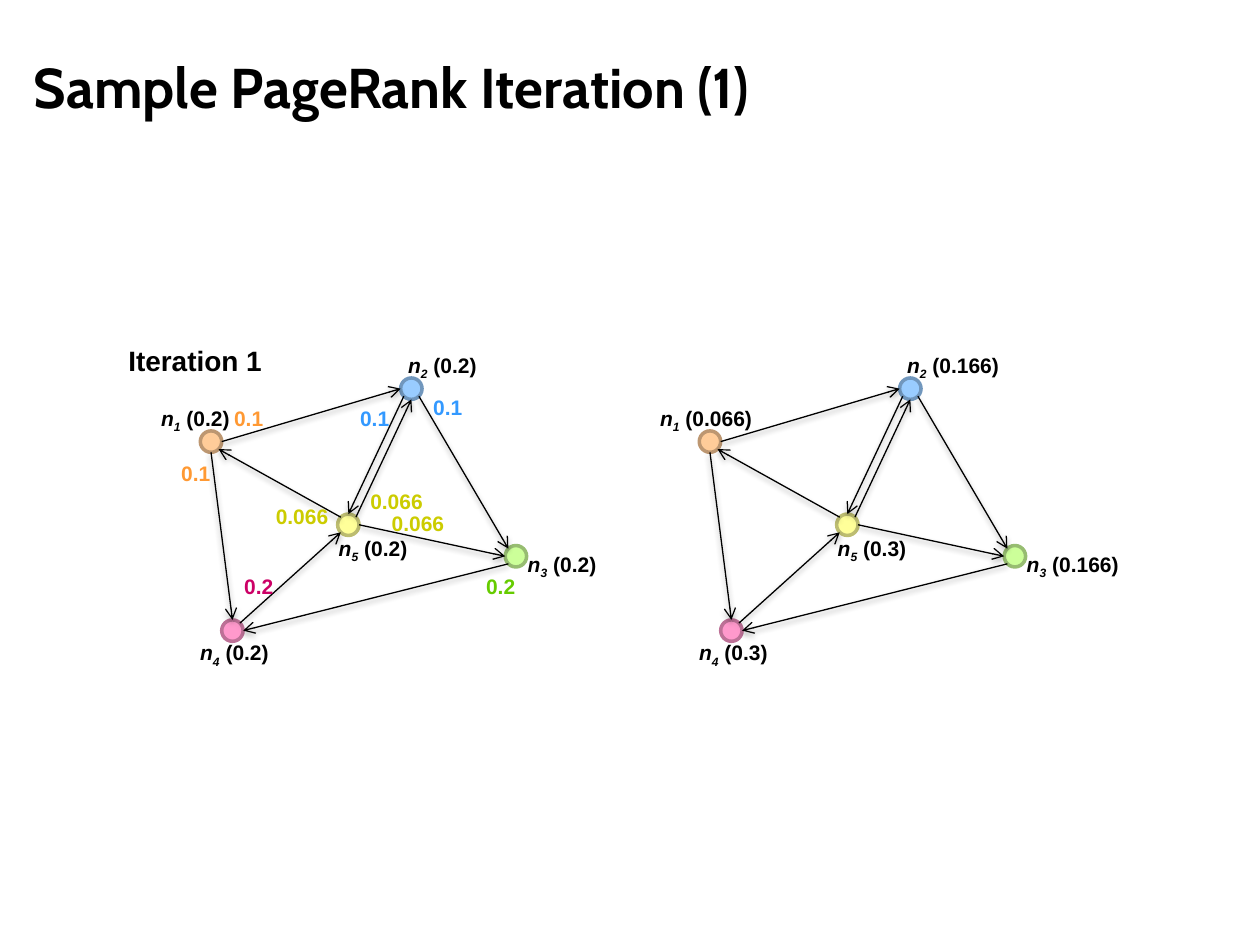
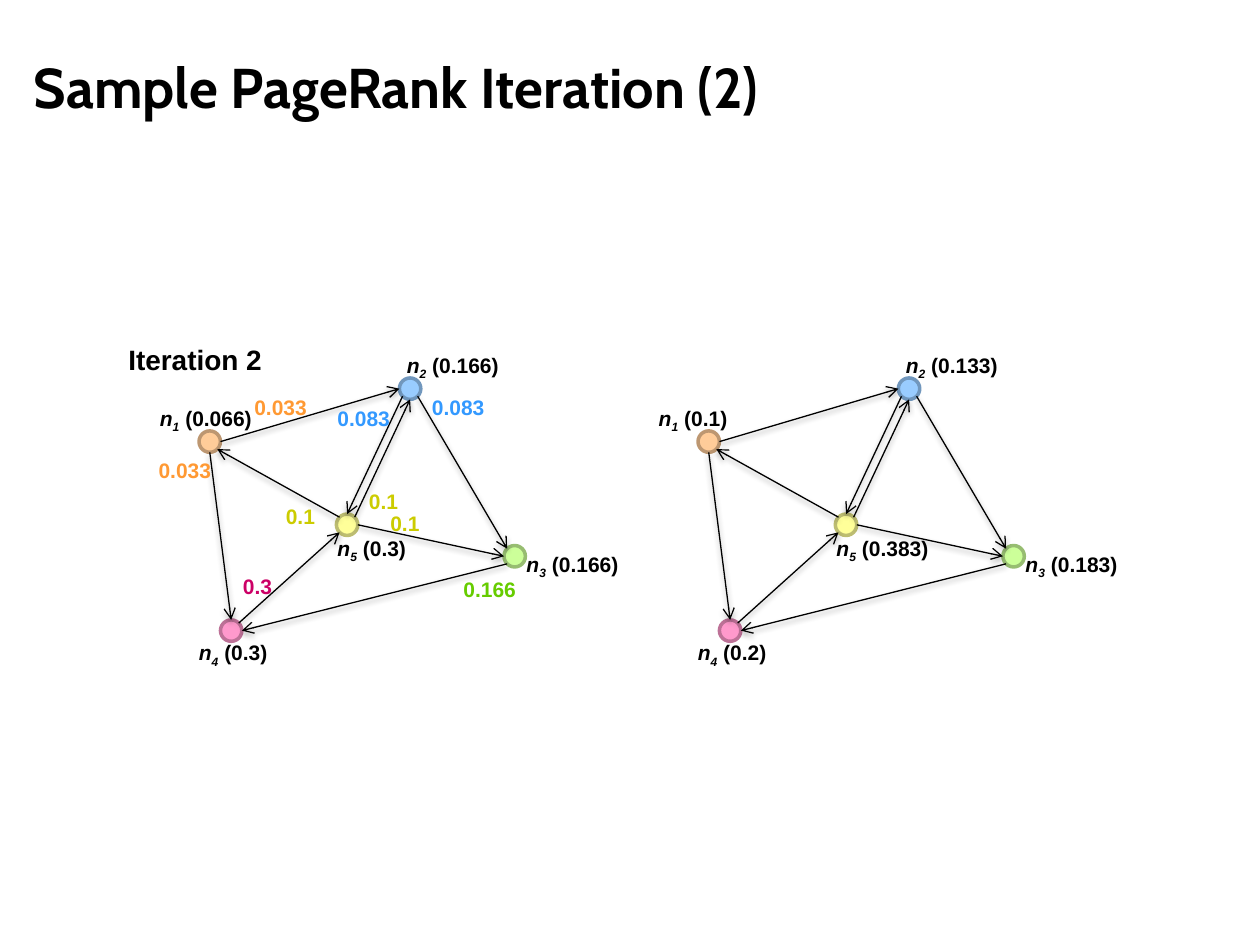
from math import cos, radians, sin

from lxml import etree
from pptx import Presentation
from pptx.dml.color import RGBColor
from pptx.enum.shapes import MSO_CONNECTOR, MSO_SHAPE
from pptx.enum.text import MSO_ANCHOR, MSO_AUTO_SIZE
from pptx.oxml.ns import qn
from pptx.util import Pt

PX = 9144  # 100 px to the inch
SLIDE_SIZE = (1000, 750)
NODE_SIZE = 17
GRAPH_GAP = 396

BLACK = RGBColor(0x00, 0x00, 0x00)
ORANGE = RGBColor(0xFF, 0x99, 0x33)
BLUE = RGBColor(0x33, 0x99, 0xFF)
GREEN = RGBColor(0x66, 0xCC, 0x00)
PINK = RGBColor(0xCC, 0x00, 0x66)
YELLOW = RGBColor(0xCC, 0xCC, 0x00)
PALE_ORANGE = RGBColor(0xFF, 0xCC, 0x99)
PALE_BLUE = RGBColor(0x99, 0xCC, 0xFF)
PALE_GREEN = RGBColor(0xCC, 0xFF, 0x99)
PALE_PINK = RGBColor(0xFF, 0x99, 0xCC)
PALE_YELLOW = RGBColor(0xFF, 0xFF, 0x99)

# node: (left, top), (label left, label top), fill, colour of the mass it sends
NODES = {
    1: ((159, 342), (118, 317), PALE_ORANGE, ORANGE),
    2: ((318, 300), (314, 275), PALE_BLUE, BLUE),
    3: ((401, 433), (409, 433), PALE_GREEN, GREEN),
    4: ((176, 492), (149, 503), PALE_PINK, PINK),
    5: ((268, 408), (259, 420), PALE_YELLOW, YELLOW),
}

# Compass directions in degrees, clockwise from east
E, SE, S, SW, W, NW, N, NE = range(0, 360, 45)
# (from node, side, to node, side)
EDGES = [
    (1, E, 2, W),
    (5, NW, 1, SE),
    (1, S, 4, N),
    (4, NE, 5, SW),
    (5, NE, 2, S),
    (2, SE, 3, NW),
    (5, E, 3, W),
    (3, SW, 4, E),
    (2, SW, 5, N),
]

# ranks are for nodes 1 to 5; a flow is (sending node, value, left, top)
ITERATIONS = [
    {
        "number": 1, "shift": 0, "heading_top": 268,
        "before": ["0.2", "0.2", "0.2", "0.2", "0.2"],
        "after": ["0.066", "0.166", "0.166", "0.3", "0.3"],
        "flows": [
            (1, "0.1", 176, 317), (1, "0.1", 134, 361),
            (4, "0.2", 184, 450), (3, "0.2", 376, 450),
            (2, "0.1", 276, 317), (2, "0.1", 334, 308),
            (5, "0.066", 209, 395), (5, "0.066", 301, 400),
            (5, "0.066", 284, 383),
        ],
    },
    {
        "number": 2, "shift": -1, "heading_top": 267,
        "before": ["0.066", "0.166", "0.166", "0.3", "0.3"],
        "after": ["0.1", "0.133", "0.183", "0.2", "0.383"],
        "flows": [
            (1, "0.033", 193, 308), (1, "0.033", 117, 358),
            (4, "0.3", 184, 450), (3, "0.166", 359, 453),
            (2, "0.083", 259, 317), (2, "0.083", 334, 308),
            (5, "0.1", 218, 395), (5, "0.1", 301, 400),
            (5, "0.1", 284, 383),
        ],
    },
]


def emu(*lengths):
    return [round(length * PX) for length in lengths]


def add_text(shapes, runs, left, top, width, height=30, *, size=12, font="Arial",
             color=BLACK, wrap=False, anchor=MSO_ANCHOR.TOP):
    """Add a bold text box; each run is (text, italic, baseline shift)."""
    box = shapes.add_textbox(*emu(left, top, width, height))
    frame = box.text_frame
    frame.word_wrap = wrap
    frame.vertical_anchor = anchor
    frame.auto_size = MSO_AUTO_SIZE.NONE if wrap else MSO_AUTO_SIZE.SHAPE_TO_FIT_TEXT
    paragraph = frame.paragraphs[0]
    for text, italic, baseline in runs:
        run = paragraph.add_run()
        run.text = text
        run.font.name = font
        run.font.size = Pt(size)
        run.font.bold = True
        run.font.italic = italic
        run.font.color.rgb = color
        if baseline:
            run.font._element.set("baseline", str(baseline))


def plain(text):
    return [(text, False, 0)]


def darker(color):
    return RGBColor(*(round(channel * 0.74) for channel in color))


def add_node(shapes, left, top, fill):
    node = shapes.add_shape(MSO_SHAPE.OVAL, *emu(left, top, NODE_SIZE, NODE_SIZE))
    node.shadow.inherit = False
    node.fill.solid()
    node.fill.fore_color.rgb = fill
    node.line.color.rgb = darker(fill)
    node.line.width = Pt(2)


def rim_point(number, direction, shift):
    """Point on the rim of a node in a compass direction."""
    left, top = NODES[number][0]
    radius = NODE_SIZE / 2
    angle = radians(direction)
    return (left + shift + radius + radius * cos(angle),
            top + radius + radius * sin(angle))


def add_arrow(shapes, start, end):
    arrow = shapes.add_connector(MSO_CONNECTOR.STRAIGHT, *emu(*start, *end))
    arrow.line.color.rgb = BLACK
    arrow.line.width = Pt(0.75)
    properties = arrow._element.spPr
    etree.SubElement(properties.find(qn("a:ln")), qn("a:tailEnd"), type="arrow")
    effects = etree.SubElement(properties, qn("a:effectLst"))
    shadow = etree.SubElement(effects, qn("a:outerShdw"), blurRad="40000",
                              dist="20000", dir="5400000", rotWithShape="0")
    shade = etree.SubElement(shadow, qn("a:srgbClr"), val=str(BLACK))
    etree.SubElement(shade, qn("a:alpha"), val="38000")


def add_graph(shapes, ranks, shift):
    for (left, top), _, fill, _ in NODES.values():
        add_node(shapes, left + shift, top, fill)
    for source, source_side, target, target_side in EDGES:
        add_arrow(shapes, rim_point(source, source_side, shift),
                  rim_point(target, target_side, shift))
    for (number, (_, (left, top), _, _)), rank in zip(NODES.items(), ranks):
        runs = [("n", True, 0), (str(number), True, -25000), (f" ({rank})", False, 0)]
        add_text(shapes, runs, left + shift, top, 76 if len(rank) == 3 else 95)


def add_iteration_slide(presentation, iteration):
    shapes = presentation.slides.add_slide(presentation.slide_layouts[6]).shapes
    number, shift = iteration["number"], iteration["shift"]
    add_text(shapes, plain(f"Sample PageRank Iteration ({number})"), 17, 12, 950, 112,
             size=32, font="Cabin", wrap=True, anchor=MSO_ANCHOR.MIDDLE)
    add_graph(shapes, iteration["before"], shift)
    for sender, value, left, top in iteration["flows"]:
        add_text(shapes, plain(value), left + shift, top,
                 44 if len(value) == 3 else 62, color=NODES[sender][3])
    add_graph(shapes.add_group_shape().shapes, iteration["after"], shift + GRAPH_GAP)
    add_text(shapes, plain(f"Iteration {number}"), 92, iteration["heading_top"], 128, 37,
             size=16)


def main():
    presentation = Presentation()
    presentation.slide_width, presentation.slide_height = emu(*SLIDE_SIZE)
    for iteration in ITERATIONS:
        add_iteration_slide(presentation, iteration)
    presentation.save("out.pptx")


if __name__ == "__main__":
    main()
